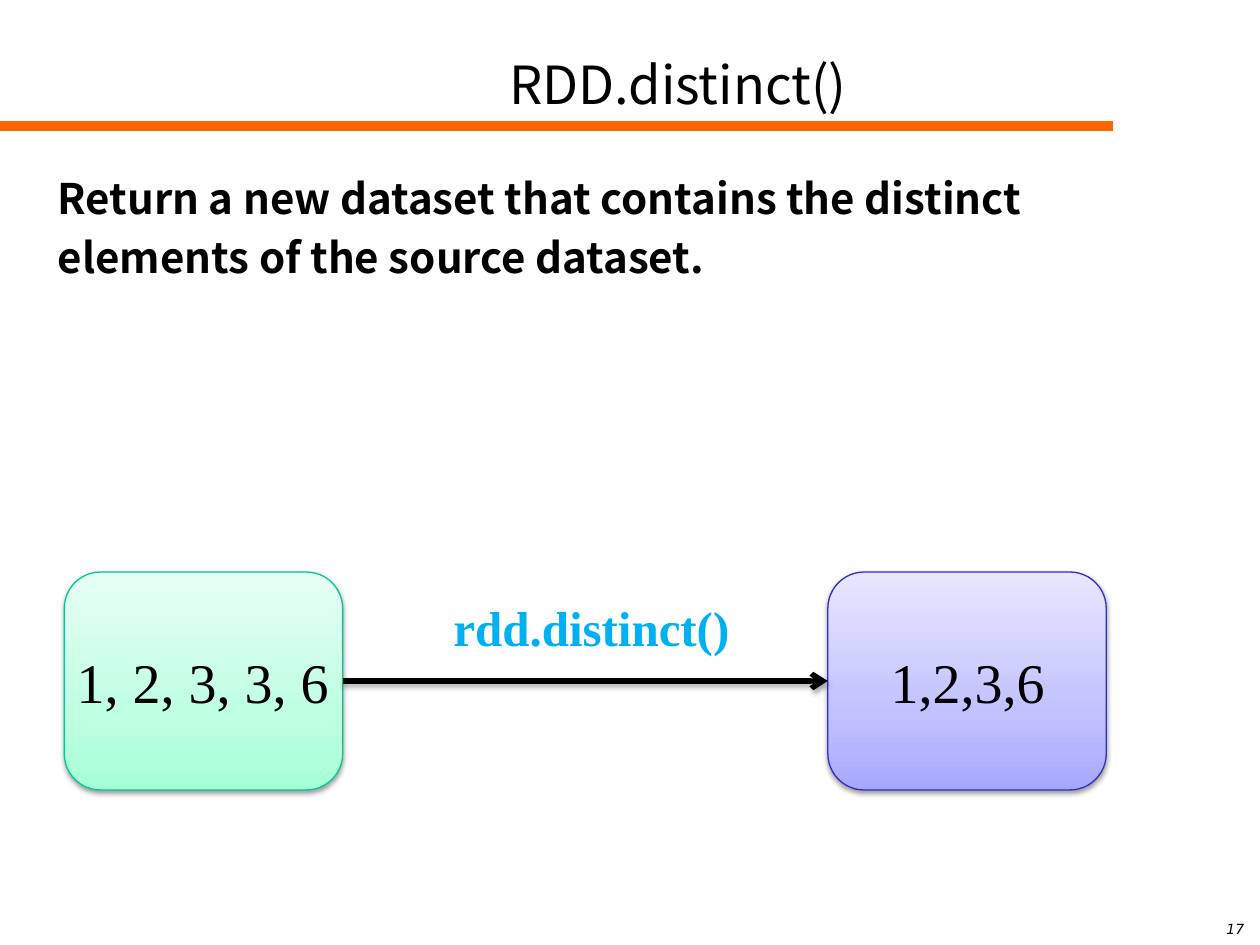
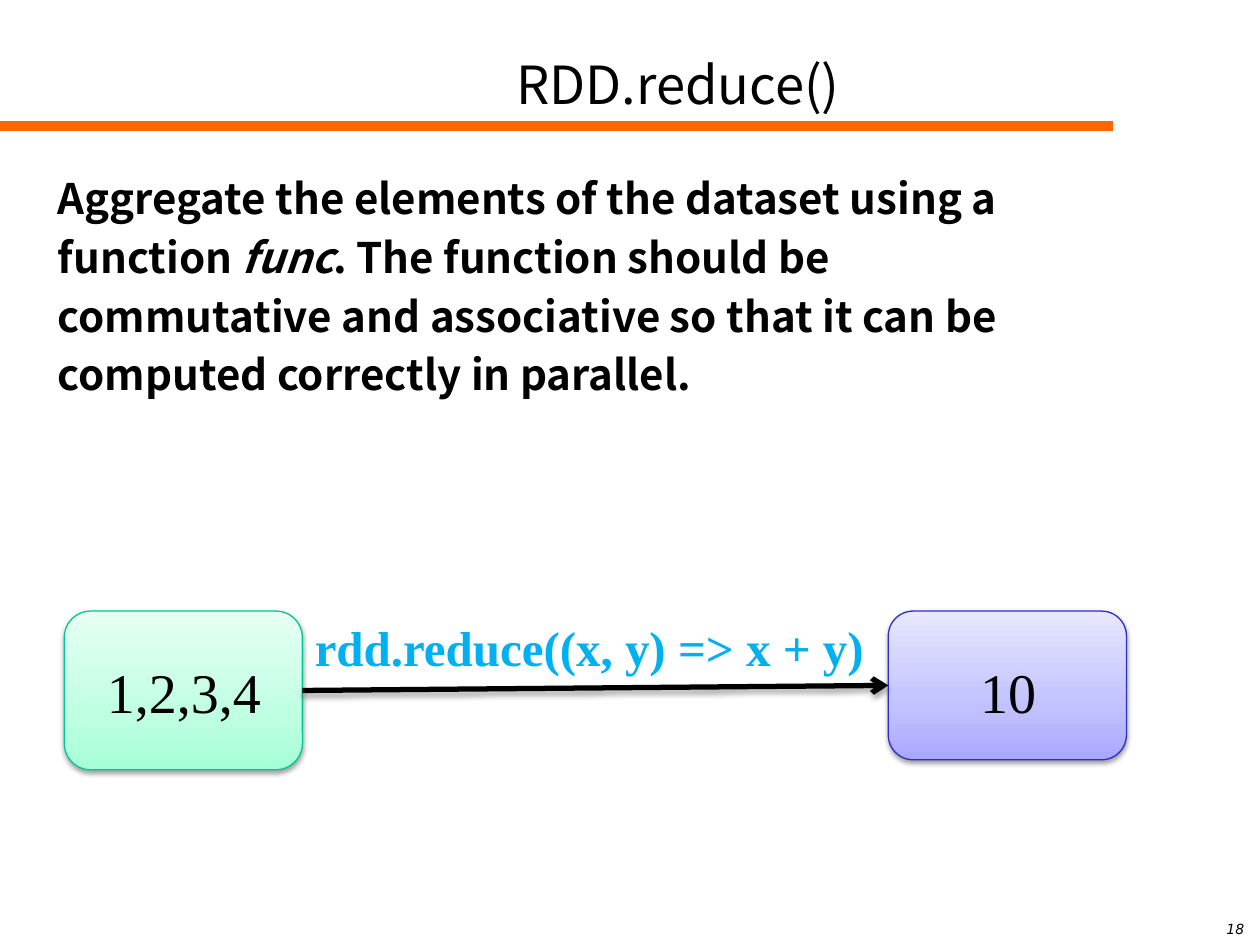
"""Build two slides that explain the RDD operations distinct and reduce."""
from copy import deepcopy
from dataclasses import dataclass

from pptx import Presentation
from pptx.dml.color import RGBColor
from pptx.enum.shapes import MSO_CONNECTOR, MSO_SHAPE
from pptx.enum.text import MSO_ANCHOR, PP_ALIGN
from pptx.oxml import parse_xml
from pptx.oxml.ns import nsdecls, qn
from pptx.util import Inches, Pt


@dataclass(frozen=True)
class Theme:
    ink: str = "000000"
    band: str = "FF6600"
    code: str = "00B0F0"
    source_stops: tuple = ("A5FFD6", "BFFFE2", "E7FFF3")
    source_line: str = "00C896"
    result_stops: tuple = ("A7A7FF", "C1C1FF", "E7E7FF")
    result_line: str = "2E2ECB"
    heading_font: str = "Noto Sans CJK SC"
    diagram_font: str = "Times New Roman"
    number_font: str = "DejaVu Sans"
    title_size: int = 30
    body_size: int = 24
    data_size: int = 32
    code_size: int = 28
    number_size: int = 8


class Deck:
    def __init__(self, theme):
        self.theme = theme
        self.presentation = Presentation()
        self.presentation.slide_width = Inches(10)
        self.presentation.slide_height = Inches(7.5)
        self.slide = None

    def start_slide(self, title, number):
        theme = self.theme
        layout = self.presentation.slide_layouts[5]
        self.slide = self.presentation.slides.add_slide(layout)
        self.line((0, 1), (8.83, 1), theme.band, 6)

        shape = self.slide.shapes.title
        shape.left, shape.top = Inches(1.92), Inches(0.33)
        shape.width, shape.height = Inches(6.92), Inches(0.67)
        frame = shape.text_frame
        frame.text = title
        frame.vertical_anchor = MSO_ANCHOR.MIDDLE
        frame.paragraphs[0].alignment = PP_ALIGN.CENTER
        self.format_runs(frame.paragraphs[0], theme.heading_font, theme.title_size)

        frame = self.text((9.57, 7.21, 0.47, 0.32), str(number),
                          theme.number_font, theme.number_size, italic=True)
        frame.vertical_anchor = MSO_ANCHOR.MIDDLE
        frame.margin_right = Inches(0.1)
        frame.paragraphs[0].alignment = PP_ALIGN.CENTER

    def format_runs(self, paragraph, font, size, color=None, bold=False, italic=False):
        for run in paragraph.runs:
            run.font.name = font
            run.font.size = Pt(size)
            run.font.bold = bold
            run.font.italic = italic
            run.font.color.rgb = RGBColor.from_string(color or self.theme.ink)

    def text(self, box, words, font, size, **style):
        shape = self.slide.shapes.add_textbox(*map(Inches, box))
        frame = shape.text_frame
        frame.word_wrap = True
        frame.margin_right = 0
        frame.text = words
        self.format_runs(frame.paragraphs[0], font, size, **style)
        return frame

    def body(self, lines):
        theme = self.theme
        shape = self.slide.shapes.add_textbox(*map(Inches, (0.36, 1.32, 9.48, 5.11)))
        frame = shape.text_frame
        frame.word_wrap = True
        for position, line in enumerate(lines):
            paragraph = frame.add_paragraph() if position else frame.paragraphs[0]
            paragraph.space_before = Pt(0.2 * theme.body_size if position else 0)
            for part in line.split("*"):
                paragraph.add_run().text = part
            self.format_runs(paragraph, theme.heading_font, theme.body_size, bold=True)
            for run in paragraph.runs[1::2]:
                run.font.italic = True

    def data_box(self, box, stops, line):
        shape = self.slide.shapes.add_shape(
            MSO_SHAPE.ROUNDED_RECTANGLE, *map(Inches, box))
        shape.fill.gradient()
        shape.fill.gradient_angle = 90
        stop_list = shape._element.spPr.find(qn("a:gradFill")).find(qn("a:gsLst"))
        stop_list.insert(1, deepcopy(stop_list[0]))
        for stop, color, position in zip(shape.fill.gradient_stops, stops, (0, 0.35, 1)):
            stop.color.rgb = RGBColor.from_string(color)
            stop.position = position
        shape.line.color.rgb = RGBColor.from_string(line)
        shape.line.width = Pt(0.75)
        self.effects(shape, 38, 1.6)
        return shape

    def data_text(self, box, words):
        self.text(box, words, self.theme.diagram_font, self.theme.data_size)

    def code_text(self, box, words):
        self.text(box, words, self.theme.diagram_font, self.theme.code_size,
                  color=self.theme.code, bold=True)

    def line(self, start, end, color, width):
        connector = self.slide.shapes.add_connector(
            MSO_CONNECTOR.STRAIGHT, *map(Inches, start + end))
        connector.line.color.rgb = RGBColor.from_string(color)
        connector.line.width = Pt(width)
        self.effects(connector)
        return connector

    def arrow(self, source, result):
        connector = self.line((0, 0), (1, 1), self.theme.ink, 3)
        connector.begin_connect(source, 3)
        connector.end_connect(result, 1)
        connector.line._get_or_add_ln().append(
            parse_xml(f'<a:tailEnd {nsdecls("a")} type="arrow"/>'))
        self.effects(connector, 35, 1.8)

    def effects(self, shape, opacity=0, distance=0):
        properties = shape._element.spPr
        for previous in properties.findall(qn("a:effectLst")):
            properties.remove(previous)
        shadow = (
            f'<a:outerShdw blurRad="{Pt(3.1)}" dist="{Pt(distance)}" dir="5400000" '
            f'rotWithShape="0"><a:srgbClr val="{self.theme.ink}">'
            f'<a:alpha val="{opacity * 1000}"/></a:srgbClr></a:outerShdw>'
        ) if opacity else ""
        properties.append(
            parse_xml(f'<a:effectLst {nsdecls("a")}>{shadow}</a:effectLst>'))

    def flow(self, source_box, result_box):
        theme = self.theme
        source = self.data_box(source_box, theme.source_stops, theme.source_line)
        result = self.data_box(result_box, theme.result_stops, theme.result_line)
        self.arrow(source, result)


def main():
    deck = Deck(Theme())

    deck.start_slide("RDD.distinct()", 17)
    deck.body(["Return a new dataset that contains the distinct",
               "elements of the source dataset."])
    deck.flow((0.51, 4.54, 2.21, 1.73), (6.57, 4.54, 2.21, 1.73))
    deck.data_text((0.51, 5.09, 2.2, 0.64), "1, 2, 3, 3, 6")
    deck.data_text((6.97, 5.09, 1.73, 0.64), "1,2,3,6")
    deck.code_text((3.5, 4.69, 2.52, 0.57), "rdd.distinct()")

    deck.start_slide("RDD.reduce()", 18)
    deck.body(["Aggregate the elements of the dataset using a",
               "function *func*. The function should be",
               "commutative and associative so that it can be",
               "computed correctly in parallel."])
    deck.flow((0.51, 4.85, 1.89, 1.26), (7.05, 4.85, 1.89, 1.18))
    deck.data_text((0.75, 5.17, 1.57, 0.64), "1,2,3,4")
    deck.data_text((7.68, 5.17, 0.79, 0.64), "10")
    deck.code_text((2.4, 4.85, 4.57, 0.57), "rdd.reduce((x, y) => x + y)")

    deck.presentation.save("out.pptx")


if __name__ == "__main__":
    main()
